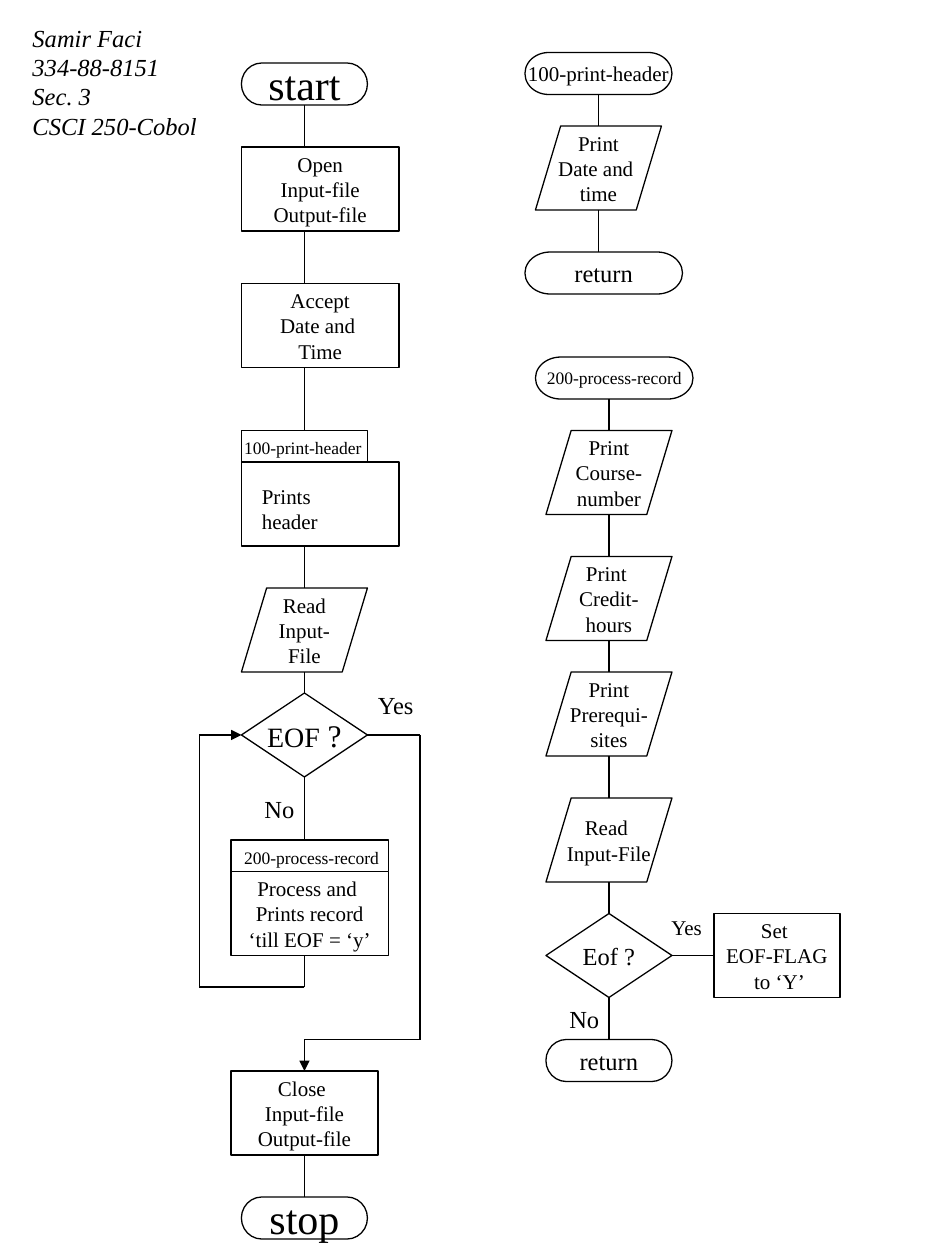
from lxml.etree import SubElement
from pptx import Presentation
from pptx.dml.color import RGBColor
from pptx.enum.shapes import MSO_CONNECTOR, MSO_SHAPE
from pptx.enum.text import MSO_ANCHOR, MSO_AUTO_SIZE, PP_ALIGN
from pptx.oxml.ns import qn
from pptx.util import Inches, Pt

BLACK = RGBColor(0x00, 0x00, 0x00)
WHITE = RGBColor(0xFF, 0xFF, 0xFF)
FONT = "Times New Roman"

TERMINATOR = MSO_SHAPE.FLOWCHART_TERMINATOR
PROCESS = MSO_SHAPE.FLOWCHART_PROCESS
DATA = MSO_SHAPE.FLOWCHART_DATA
DECISION = MSO_SHAPE.FLOWCHART_DECISION

# Shapes and lines sit on a grid of twelfths of an inch.
MAIN_X, HEADER_X, RECORD_X = 29, 57, 58
HEIGHTS = {TERMINATOR: 4, PROCESS: 8, DATA: 8, DECISION: 8}

# kind, left, top, width (grid units), lines of text, size in points
STEPS = [
    (TERMINATOR, 23, 6, 12, ["start"], 24),
    (PROCESS, 23, 14, 15, ["Open", "Input-file", "Output-file"], 12),
    (PROCESS, 23, 27, 15, ["Accept", "Date and ", "Time"], 12),
    (PROCESS, 23, 41, 12, [], 12),
    (PROCESS, 23, 44, 15, [], 12),
    (DATA, 23, 56, 12, ["Read", "Input-", "File"], 12),
    (PROCESS, 22, 80, 15, [], 12),
    (PROCESS, 22, 83, 15,
     ["Process and ", "Prints record", "‘till EOF = ‘y’"], 12),
    (PROCESS, 22, 102, 14, ["Close ", "Input-file", "Output-file"], 12),
    (TERMINATOR, 23, 114, 12, ["stop"], 24),
    (TERMINATOR, 50, 5, 14, ["100-print-header"], 12),
    (DATA, 51, 12, 12, ["Print", "Date and ", "time"], 12),
    (TERMINATOR, 50, 24, 15, ["return"], 14),
    (TERMINATOR, 51, 34, 15, ["200-process-record"], 10),
    (DATA, 52, 41, 12, ["Print", "Course-", "number"], 12),
    (DATA, 52, 53, 12, ["Print ", "Credit-", "hours"], 12),
    (DATA, 52, 64, 12, ["Print", "Prerequi-", "sites"], 12),
    (DATA, 52, 76, 12, ["Read ", "Input-File"], 12),
    (DECISION, 52, 87, 12, ["Eof ?"], 14),
    (PROCESS, 68, 87, 12, ["Set ", "EOF-FLAG", " to ‘Y’"], 12),
    (TERMINATOR, 52, 99, 12, ["return"], 14),
]

# x of each column and the (top, bottom) of its vertical links
LINKS = {
    MAIN_X: [(10, 14), (22, 27), (35, 41), (52, 56), (64, 66), (74, 80),
             (110, 114)],
    HEADER_X: [(9, 12), (20, 24)],
    RECORD_X: [(38, 41), (49, 53), (61, 64), (72, 76), (84, 87), (95, 99)],
}
LOOP_BACK = [(MAIN_X, 91), (MAIN_X, 94), (19, 94), (19, 70), (23, 70)]
END_OF_FILE = [(35, 70), (40, 70), (40, 99), (MAIN_X, 99), (MAIN_X, 102)]

# left, top, width, height (inches), lines of text, size in points
LABELS = [
    (1.84, 3.42, 1.13, 0.27, ["100-print-header"], 10),
    (1.98, 3.79, 0.7, 0.5, ["Prints", "header"], 12),
    (1.84, 6.67, 1.27, 0.27, ["200-process-record"], 10),
    (2, 6.25, 0.44, 0.34, ["No"], 14),
    (2.9, 5.43, 0.5, 0.34, ["Yes"], 14),
    (4.42, 7.92, 0.44, 0.34, ["No"], 14),
    (5.23, 7.21, 0.46, 0.3, ["Yes"], 12),
]


def grid(units):
    return Inches(units / 12)


def write_lines(frame, lines, size, align, italic=None):
    frame.word_wrap = False
    for number, line in enumerate(lines):
        para = frame.add_paragraph() if number else frame.paragraphs[0]
        para.text = line
        para.alignment = align
        para.font.name = FONT
        para.font.size = Pt(size)
        para.font.color.rgb = BLACK
        para.font.italic = italic


def add_step(page, kind, left, top, width, lines, size):
    shape = page.shapes.add_shape(
        kind, grid(left), grid(top), grid(width), grid(HEIGHTS[kind]))
    shape.shadow.inherit = False
    shape.fill.solid()
    shape.fill.fore_color.rgb = WHITE
    shape.line.color.rgb = BLACK
    shape.line.width = Pt(0.75)
    shape.text_frame.vertical_anchor = MSO_ANCHOR.MIDDLE
    write_lines(shape.text_frame, lines, size, PP_ALIGN.CENTER)
    return shape


def add_label(page, left, top, width, height, lines, size, italic=None):
    box = page.shapes.add_textbox(
        Inches(left), Inches(top), Inches(width), Inches(height))
    write_lines(box.text_frame, lines, size, PP_ALIGN.LEFT, italic)
    box.text_frame.auto_size = MSO_AUTO_SIZE.SHAPE_TO_FIT_TEXT


def add_line(page, start, end):
    line = page.shapes.add_connector(
        MSO_CONNECTOR.STRAIGHT, *map(grid, start + end))
    line.line.color.rgb = BLACK
    line.line.width = Pt(0.75)
    SubElement(line._element.spPr, qn("a:effectLst"))
    return line


def add_route(page, points):
    """Join the points with lines and put an arrowhead on the last one."""
    for start, end in zip(points, points[1:]):
        line = add_line(page, start, end)
    outline = line._element.spPr.find(qn("a:ln"))
    SubElement(outline, qn("a:tailEnd"), type="triangle")


def add_eof_decision(page):
    shape = add_step(page, DECISION, 23, 66, 12, ["EOF"], 16)
    span = shape.text_frame.paragraphs[0].add_run()
    span.text = " ?"
    span.font.size = Pt(18)


def main():
    deck = Presentation()
    deck.slide_width, deck.slide_height = Inches(7.5), Inches(10)
    page = deck.slides.add_slide(deck.slide_layouts[6])

    for step in STEPS:
        add_step(page, *step)
    add_eof_decision(page)

    for x, spans in LINKS.items():
        for top, bottom in spans:
            add_line(page, (x, top), (x, bottom))
    add_line(page, (64, 91), (68, 91))
    add_route(page, LOOP_BACK)
    add_route(page, END_OF_FILE)

    for label in LABELS:
        add_label(page, *label)
    add_label(page, 0.16, 0.13, 1.6, 1.04,
              ["Samir Faci", "334-88-8151", "Sec. 3", "CSCI 250-Cobol"],
              14, italic=True)
    deck.save("out.pptx")


if __name__ == "__main__":
    main()
